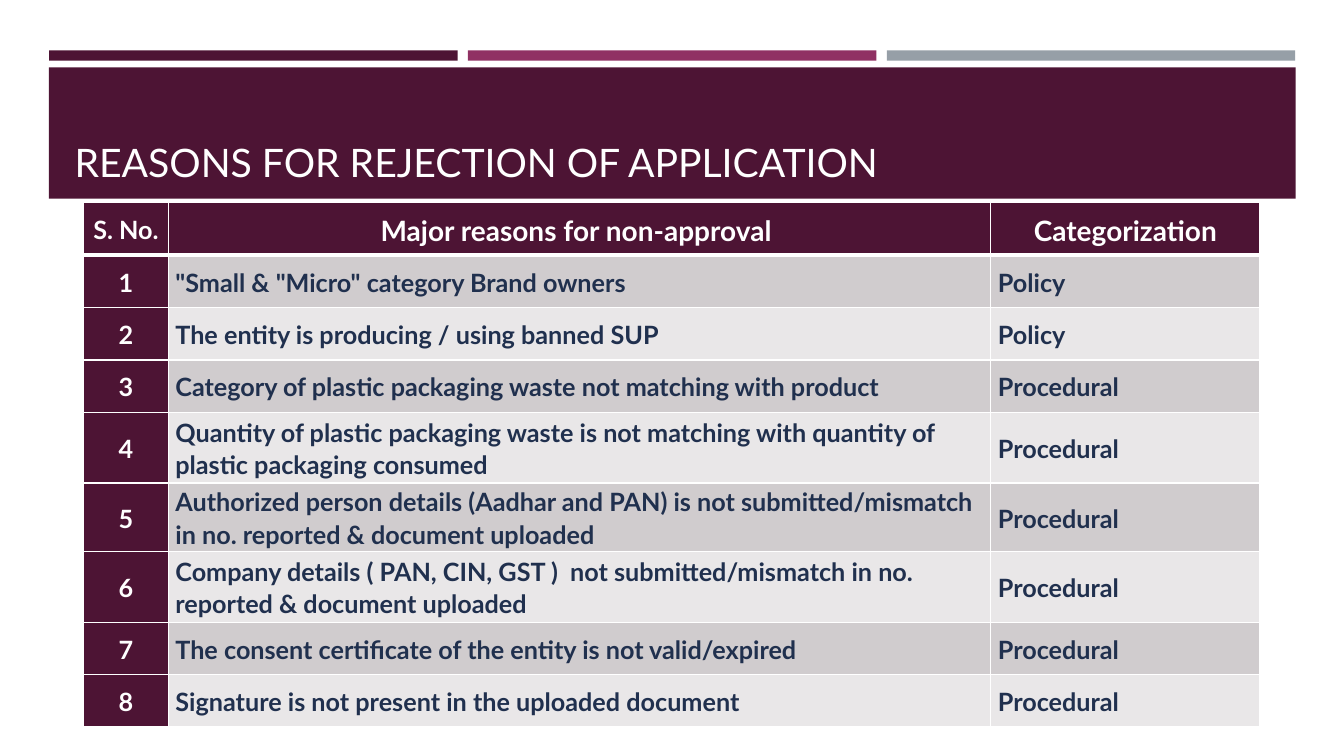
from lxml import etree
from pptx import Presentation
from pptx.dml.color import RGBColor
from pptx.enum.shapes import MSO_SHAPE
from pptx.enum.text import MSO_ANCHOR, PP_ALIGN
from pptx.oxml.ns import qn
from pptx.util import Cm, Pt

RECT = MSO_SHAPE.RECTANGLE
MIDDLE, BOTTOM = MSO_ANCHOR.MIDDLE, MSO_ANCHOR.BOTTOM
LEFT, CENTER = PP_ALIGN.LEFT, PP_ALIGN.CENTER
PLUM = RGBColor(0x4D, 0x14, 0x34)
BERRY = RGBColor(0x90, 0x31, 0x63)
STEEL = RGBColor(0x96, 0x9F, 0xA7)
WHITE = RGBColor(0xFF, 0xFF, 0xFF)
NAVY = RGBColor(0x20, 0x30, 0x4E)
BANDS = RGBColor(0xD0, 0xCC, 0xCE), RGBColor(0xE9, 0xE7, 0xE8)
FONT = "Lato"

HEADS = ["S. No.", "Major reasons for non-approval ", "Categorization"]
REASONS = [
    ('"Small & "Micro" category Brand owners', "Policy"),
    ("The entity is producing / using banned SUP", "Policy"),
    ("Category of plastic packaging waste not matching with product", "Procedural"),
    ("Quantity of plastic packaging waste is not matching with quantity of "
     "plastic packaging consumed", "Procedural"),
    ("Authorized person details (Aadhar and PAN) is not submitted/mismatch "
     "in no. reported & document uploaded", "Procedural"),
    ("Company details ( PAN, CIN, GST )  not submitted/mismatch in no. "
     "reported & document uploaded", "Procedural"),
    ("The consent certificate of the entity is not valid/expired", "Procedural"),
    ("Signature is not present in the uploaded document", "Procedural"),
]
COLS = [2.13, 20.73, 6.78]
ROWS = [1.32, 1.32, 1.32, 1.32, 1.78, 1.73, 1.78, 1.32, 1.32]


def style(para, size, color, bold=False):
    """Set the font of every run in a paragraph."""
    for run in para.runs:
        run.font.name = FONT
        run.font.size = Pt(size)
        run.font.bold = bold
        run.font.color.rgb = color


def add_block(slide, left, top, width, height, color):
    """Add a plain filled rectangle."""
    block = slide.shapes.add_shape(RECT, Cm(left), Cm(top), Cm(width), Cm(height))
    block.shadow.inherit = False
    block.fill.solid()
    block.fill.fore_color.rgb = color
    block.line.fill.background()


def add_bars(slide, left, top, width, height):
    """Split the box into three coloured bars with equal gaps."""
    gap = 0.26
    size = (width - 2 * gap) / 3
    for i, color in enumerate((PLUM, BERRY, STEEL)):
        add_block(slide, left + i * (size + gap), top, size, height, color)


def add_banner(slide, left, top, width, height):
    """Add the dark banner with the title at its foot."""
    add_block(slide, left, top, width, height, PLUM)
    box = slide.shapes.add_textbox(
        Cm(left + 0.4), Cm(top + 0.26), Cm(width - 0.8), Cm(height - 0.48))
    frame = box.text_frame
    frame.word_wrap = True
    frame.vertical_anchor = BOTTOM
    frame.text = "REASONS FOR REJECTION OF APPLICATION"
    style(frame.paragraphs[0], 28, WHITE)


def add_edges(cell, foot):
    """Draw white borders round a cell, the lower one foot points wide."""
    props = cell._tc.get_or_add_tcPr()
    for side, width in (("L", 1), ("R", 1), ("T", 1), ("B", foot)):
        line = etree.SubElement(props, qn("a:ln" + side), w=str(Pt(width)))
        fill = etree.SubElement(line, qn("a:solidFill"))
        etree.SubElement(fill, qn("a:srgbClr"), val=str(WHITE))


def fill_cell(cell, text, row, col):
    """Write and format one cell according to its row and column."""
    head, dark = row == 0, row == 0 or col == 0
    add_edges(cell, 3 if head else 1)
    cell.fill.solid()
    cell.fill.fore_color.rgb = PLUM if dark else BANDS[(row - 1) % 2]
    cell.margin_left = cell.margin_right = Cm(0.18)
    cell.margin_top = cell.margin_bottom = 0
    cell.vertical_anchor = MIDDLE
    cell.text_frame.text = text
    para = cell.text_frame.paragraphs[0]
    para.alignment = CENTER if dark else LEFT
    para.line_spacing = 1.07
    style(para, 20 if head and col else 18, WHITE if dark else NAVY, True)


def add_reasons(slide, left, top):
    """Add the table of numbered reasons."""
    table = slide.shapes.add_table(
        len(ROWS), len(COLS), Cm(left), Cm(top), Cm(sum(COLS)), Cm(sum(ROWS))).table
    for column, width in zip(table.columns, COLS):
        column.width = Cm(width)
    for row, height in zip(table.rows, ROWS):
        row.height = Cm(height)
    lines = [HEADS] + [(str(i), *pair) for i, pair in enumerate(REASONS, 1)]
    for r, line in enumerate(lines):
        for c, text in enumerate(line):
            fill_cell(table.cell(r, c), text, r, c)


def main():
    """Build the slide and save it."""
    deck = Presentation()
    deck.slide_width, deck.slide_height = Cm(33.87), Cm(19.05)
    slide = deck.slides.add_slide(deck.slide_layouts[6])
    add_bars(slide, 1.24, 1.27, 31.4, 0.26)
    add_banner(slide, 1.23, 1.7, 31.42, 3.31)
    add_reasons(slide, 2.11, 5.11)
    deck.save("out.pptx")


if __name__ == "__main__":
    main()
